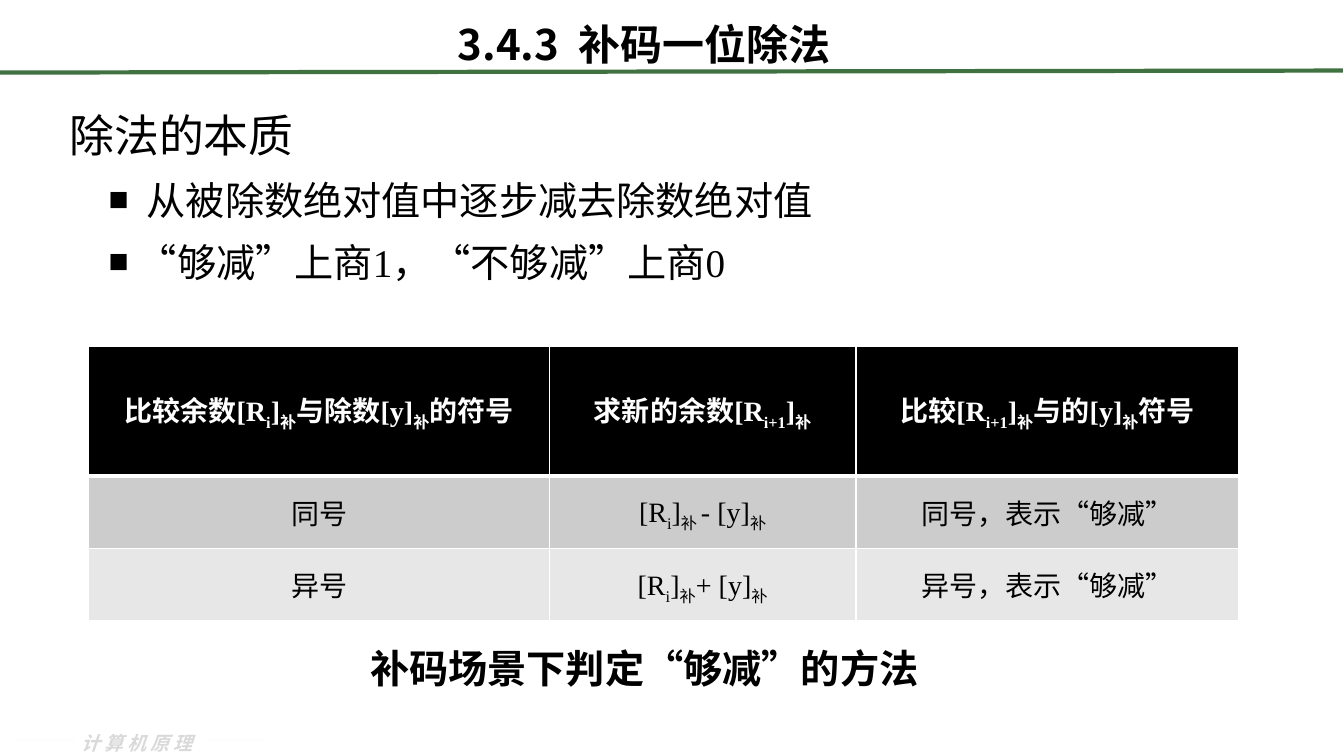
from lxml import etree
from pptx import Presentation
from pptx.dml.color import RGBColor
from pptx.enum import shapes, text
from pptx.oxml import ns
from pptx.util import Inches, Pt

BLACK = RGBColor(0x00, 0x00, 0x00)
WHITE = RGBColor(0xFF, 0xFF, 0xFF)
GREEN = RGBColor(0x3F, 0x71, 0x41)
ROW_GRAY = RGBColor(0xCC, 0xCC, 0xCC)
ROW_LIGHT = RGBColor(0xE7, 0xE7, 0xE7)
FOOTER_GRAY = RGBColor(0xD9, 0xD9, 0xD9)
SERIF = "Times New Roman"
SANS = "Noto Sans CJK SC"

HEADING = "除法的本质"
POINTS = [" 从被除数绝对值中逐步减去除数绝对值", "“够减”上商1，“不够减”上商0"]
# Braces mark subscripts
ROWS = [
    ["比较余数[R{i}]{补}与除数[y]{补}的符号", "求新的余数[R{i+1}]{补}",
     "比较[R{i+1}]{补}与的[y]{补}符号"],
    ["同号", "[R{i}]{补 }- [y]{补}", "同号，表示“够减”"],
    ["异号", "[R{i}]{补}+ [y]{补}", "异号，表示“够减”"],
]
COL_WIDTHS = [4.57, 3.04, 3.8]
ROW_HEIGHTS = [1.28, 0.72, 0.72]
ROW_FILLS = [BLACK, ROW_GRAY, ROW_LIGHT]


def apply(obj, values):
    for key, value in values.items():
        setattr(obj, key, value)


def add_run(p, words, size, color=BLACK, face=SERIF, bold=False, italic=False, **attrs):
    r = p.add_run()
    r.text = words
    apply(r.font, {"size": Pt(size), "name": face, "bold": bold, "italic": italic})
    r.font.color.rgb = color
    rpr = r._r.get_or_add_rPr()
    rpr.set("lang", "zh-CN")
    etree.SubElement(rpr, ns.qn("a:ea")).set("typeface", SANS)
    for key, value in attrs.items():
        rpr.set(key, str(value))


def add_box(s, box, anchor=text.MSO_ANCHOR.TOP):
    tf = s.shapes.add_textbox(*map(Inches, box)).text_frame
    apply(tf, {"word_wrap": True, "vertical_anchor": anchor})
    return tf


def set_indent(p, left, first):
    ppr = p._p.get_or_add_pPr()
    ppr.set("marL", str(Inches(left)))
    ppr.set("indent", str(Inches(first)))
    return ppr


def add_title(s, box):
    p = add_box(s, box, text.MSO_ANCHOR.MIDDLE).paragraphs[0]
    p.alignment = text.PP_ALIGN.CENTER
    for words, spacing in (("3.4.3", 0), (" ", 700), ("补码一位除法", 0)):
        add_run(p, words, 30, face=SANS, bold=True, spc=spacing)


def add_rule(s, start, end):
    line = s.shapes.add_connector(shapes.MSO_CONNECTOR.STRAIGHT,
                                  *map(Inches, start + end))
    line.line.color.rgb = GREEN
    line.line.width = Pt(3)
    etree.SubElement(line._element.spPr, ns.qn("a:effectLst"))


def add_body(s, box):
    tf = add_box(s, box)
    p = tf.paragraphs[0]
    set_indent(p, 0.38, -0.38)
    apply(p, {"line_spacing": Pt(45.5), "space_after": Pt(6)})
    add_run(p, HEADING, 32)
    for point in POINTS:
        p = tf.add_paragraph()
        ppr = set_indent(p, 0.68, -0.29)
        apply(p, {"level": 1, "line_spacing": Pt(32.5),
                  "space_before": Pt(5.6), "space_after": Pt(6)})
        etree.SubElement(ppr, ns.qn("a:buSzPct")).set("val", "85000")
        etree.SubElement(ppr, ns.qn("a:buFont")).set("typeface", SERIF)
        etree.SubElement(ppr, ns.qn("a:buChar")).set("char", "■")
        add_run(p, point, 28)


def add_border(cell, side, width):
    ln = etree.SubElement(cell._tc.get_or_add_tcPr(), ns.qn("a:ln" + side))
    ln.set("w", str(Pt(width)))
    fill = etree.SubElement(ln, ns.qn("a:solidFill"))
    etree.SubElement(fill, ns.qn("a:srgbClr")).set("val", str(WHITE))


def fill_cell(cell, words, row):
    header = row == 0
    # Borders: a heavier rule separates the header
    widths = {"L": 1, "R": 1, "T": 3 if row == 1 else 1, "B": 3 if header else 1}
    for side, width in widths.items():
        add_border(cell, side, width)
    cell.fill.solid()
    cell.fill.fore_color.rgb = ROW_FILLS[row]
    cell.vertical_anchor = text.MSO_ANCHOR.MIDDLE
    p = cell.text_frame.paragraphs[0]
    p.alignment = text.PP_ALIGN.CENTER
    for i, part in enumerate(words.replace("}", "{").split("{")):
        if part:
            add_run(p, part, 20, WHITE if header else BLACK, bold=header,
                    baseline=-25000 if i % 2 else 0)


def add_sign_table(s, box):
    table = s.shapes.add_table(len(ROWS), len(COL_WIDTHS), *map(Inches, box)).table
    table.horz_banding = False
    for col, width in zip(table.columns, COL_WIDTHS):
        col.width = Inches(width)
    for i, words in enumerate(ROWS):
        table.rows[i].height = Inches(ROW_HEIGHTS[i])
        for j, entry in enumerate(words):
            fill_cell(table.cell(i, j), entry, i)


def add_caption(s, box):
    p = add_box(s, box).paragraphs[0]
    set_indent(p, 0.18, -0.29)
    apply(p, {"alignment": text.PP_ALIGN.CENTER, "line_spacing": Pt(34)})
    add_run(p, "补码场景下判定“够减”的方法", 28, bold=True)


def add_fade(s, box, angle):
    sp = s.shapes.add_shape(shapes.MSO_SHAPE.RECTANGLE, *map(Inches, box))
    sp.shadow.inherit = False
    sp.line.fill.background()
    sp.fill.gradient()
    sp.fill.gradient_angle = angle
    for stop, alpha in zip(sp.fill.gradient_stops, (0, 80000)):
        stop.color.rgb = WHITE
    for color, alpha in zip(sp._element.spPr.iter(ns.qn("a:srgbClr")), (0, 80000)):
        etree.SubElement(color, ns.qn("a:alpha")).set("val", str(alpha))


def add_footer(s, box):
    p = add_box(s, box).paragraphs[0]
    add_run(p, "计算机原理", 13.5, FOOTER_GRAY, SANS, True, True, spc=300)
    # Fading bars on both sides of the course name
    left, top, width, _ = box
    add_fade(s, (left + width - 0.16, top + 0.12, 0.59, 0.04), 180)
    add_fade(s, (left - 0.54, top + 0.12, 0.59, 0.04), 0)


def main():
    prs = Presentation()
    apply(prs, {"slide_width": Inches(13.33), "slide_height": Inches(7.5)})
    s = prs.slides.add_slide(prs.slide_layouts[6])
    add_footer(s, (0.71, 7.21, 1.46, 0.34))
    add_body(s, (0.59, 0.92, 11.94, 5.51))
    add_title(s, (1.71, 0.13, 9.36, 0.61))
    add_rule(s, (0, 0.72), (13.32, 0.7))
    add_sign_table(s, (0.88, 3.44, sum(COL_WIDTHS), sum(ROW_HEIGHTS)))
    add_caption(s, (3.05, 6.34, 6.68, 0.57))
    prs.save("out.pptx")


if __name__ == "__main__":
    main()
